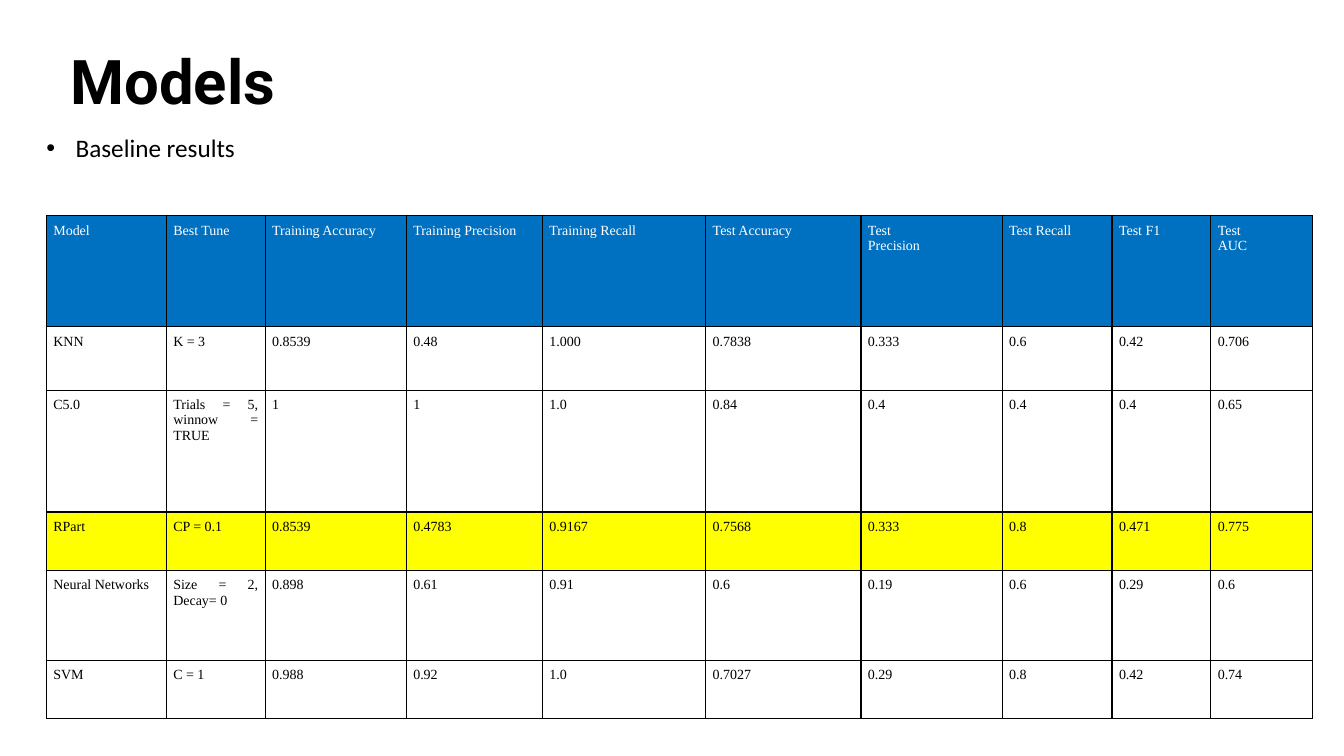
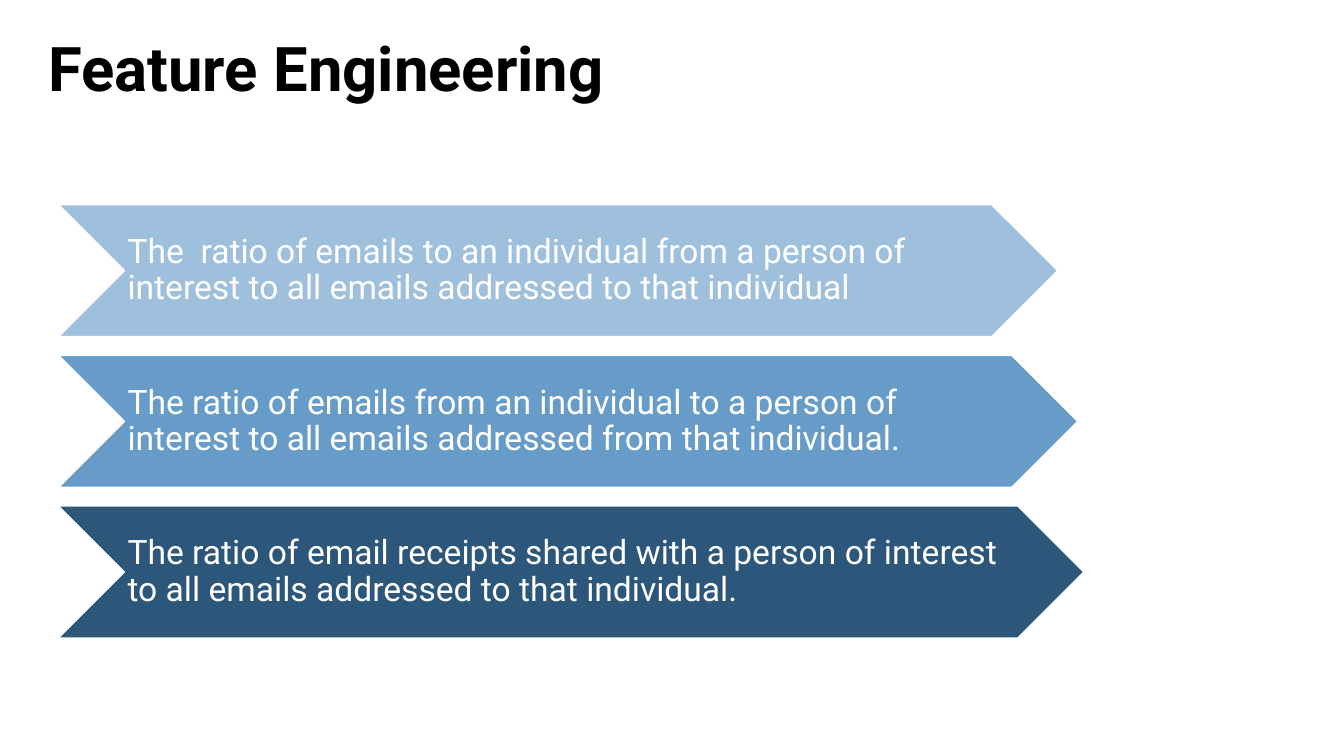
import pptx
import pptx.util
import pptx.dml.color
import pptx.enum.shapes
import pptx.enum.text
import pptx.oxml
import pptx.oxml.ns
import lxml.etree

Inches = pptx.util.Inches
Pt = pptx.util.Pt
RGB = pptx.dml.color.RGBColor.from_string
qn = pptx.oxml.ns.qn
SubElement = lxml.etree.SubElement

COLORS = {
    "black": "000000",
    "white": "FFFFFF",
    "header": "0070C0",
    "highlight": "FFFF00",
    "light": "9ABDDB",
    "medium": "679CC8",
    "dark": "2C567A",
}

prs = pptx.Presentation()
prs.slide_width = Inches(13.33)
prs.slide_height = Inches(7.5)
blank = prs.slide_layouts[6]


def add_run(p, text, size, font, color, bold=False):
    r = p.add_run()
    r.text = text
    r.font.size = Pt(size)
    r.font.name = font
    r.font.bold = bold
    r.font.color.rgb = RGB(COLORS[color])


def add_title(s, text, x, y, w):
    tf = s.shapes.add_textbox(Inches(x), Inches(y), Inches(w), Inches(0.84)).text_frame
    tf.word_wrap = True
    tf.auto_size = pptx.enum.text.MSO_AUTO_SIZE.SHAPE_TO_FIT_TEXT
    add_run(tf.paragraphs[0], text, 44, "Roboto", "black", bold=True)


s = prs.slides.add_slide(blank)
tf = s.shapes.add_textbox(Inches(0.46), Inches(1.35), Inches(10.58), Inches(1.97)).text_frame
tf.word_wrap = True
tf.margin_left = tf.margin_right = tf.margin_top = tf.margin_bottom = 0
p = tf.paragraphs[0]
p.line_spacing = 0.9
p.space_before = Pt(10)
pPr = p._p.get_or_add_pPr()
pPr.set("marL", str(Inches(0.29)))
pPr.set("indent", str(-Inches(0.29)))
SubElement(pPr, qn("a:buFont"), typeface="Arial")
SubElement(pPr, qn("a:buChar"), char="•")
add_run(p, "Baseline results", 18, "Calibri", "black")

add_title(s, "Models", 0.6, 0.38, 4.19)

col_widths = [1.19, 0.98, 1.4, 1.35, 1.62, 1.54, 1.4, 1.09, 0.98, 1.01]
row_heights = [1.1, 0.63, 1.21, 0.58, 0.89, 0.58]
results = [
    ["Model", "Best Tune", "Training Accuracy", "Training Precision", "Training Recall",
     "Test Accuracy", "Test\nPrecision", "Test Recall", "Test F1", "Test\nAUC"],
    ["KNN", "K = 3", "0.8539", "0.48", "1.000", "0.7838", "0.333", "0.6", "0.42", "0.706"],
    ["C5.0", "Trials = 5, winnow = TRUE", "1", "1", "1.0", "0.84", "0.4", "0.4", "0.4", "0.65"],
    ["RPart", "CP = 0.1", "0.8539", "0.4783", "0.9167", "0.7568", "0.333", "0.8", "0.471", "0.775"],
    ["Neural Networks", "Size = 2, Decay= 0", "0.898", "0.61", "0.91", "0.6", "0.19", "0.6", "0.29", "0.6"],
    ["SVM", "C = 1", "0.988", "0.92", "1.0", "0.7027", "0.29", "0.8", "0.42", "0.74"],
]
row_fills = {0: "header", 3: "highlight"}

table = s.shapes.add_table(len(results), len(col_widths), Inches(0.46), Inches(2.14),
                           Inches(sum(col_widths)), Inches(sum(row_heights))).table
for col, width in zip(table.columns, col_widths):
    col.width = Inches(width)
for row, height in zip(table.rows, row_heights):
    row.height = Inches(height)

for i, values in enumerate(results):
    for j, value in enumerate(values):
        cell = table.cell(i, j)
        cell.margin_left = cell.margin_right = Inches(0.07)
        cell.margin_top = cell.margin_bottom = Inches(0.07)
        for n, line in enumerate(value.split("\n")):
            tf = cell.text_frame
            p = tf.add_paragraph() if n else tf.paragraphs[0]
            p.alignment = pptx.enum.text.PP_ALIGN.JUSTIFY
            add_run(p, line, 10, "Times New Roman", "black" if i else "white")
        tcPr = cell._tc.get_or_add_tcPr()
        for side in ("a:lnL", "a:lnR", "a:lnT", "a:lnB"):
            ln = SubElement(tcPr, qn(side), w=str(Pt(1)))
            fill = SubElement(ln, qn("a:solidFill"))
            SubElement(fill, qn("a:srgbClr"), val=COLORS["black"])
        if i in row_fills:
            cell.fill.solid()
            cell.fill.fore_color.rgb = RGB(COLORS[row_fills[i]])
        else:
            cell.fill.background()


s = prs.slides.add_slide(blank)
add_title(s, "Feature Engineering", 0.38, 0.25, 5.76)

features = [
    ("The  ratio of emails to an individual from a person of interest to all emails addressed to that individual",
     9.91, "light", 94),
    ("The ratio of emails from an individual to a person of interest to all emails addressed from that individual.",
     10.11, "medium", 100),
    ("The ratio of email receipts shared with a person of interest to all emails addressed to that individual.",
     10.17, "dark", 100),
]
left, top, height, pitch = 0.58, 2.03, 1.31, 1.495

for i, (text, width, color, opacity) in enumerate(features):
    y = Inches(top + i * pitch)
    group = s.shapes.add_group_shape()
    sp = group.shapes.add_shape(pptx.enum.shapes.MSO_SHAPE.CHEVRON,
                                Inches(left), y, Inches(width), Inches(height))
    sp.shadow.inherit = False
    sp.fill.solid()
    sp.fill.fore_color.rgb = RGB(COLORS[color])
    sp.line.color.rgb = RGB(COLORS["white"])
    sp.line.width = Pt(1)
    if opacity < 100:
        clr = sp._element.spPr.find(qn("a:solidFill")).find(qn("a:srgbClr"))
        SubElement(clr, qn("a:alpha"), val=str(opacity * 1000))

    tf = group.shapes.add_textbox(Inches(left + height / 2), y,
                                  Inches(width - height), Inches(height)).text_frame
    tf.word_wrap = True
    tf.vertical_anchor = pptx.enum.text.MSO_ANCHOR.MIDDLE
    tf.margin_left = Inches(0.03)
    tf.margin_right = 0
    tf.margin_top = tf.margin_bottom = Inches(0.02)
    p = tf.paragraphs[0]
    p.line_spacing = 0.9
    add_run(p, text, 24, "Roboto", "white")

prs.save("out.pptx")
